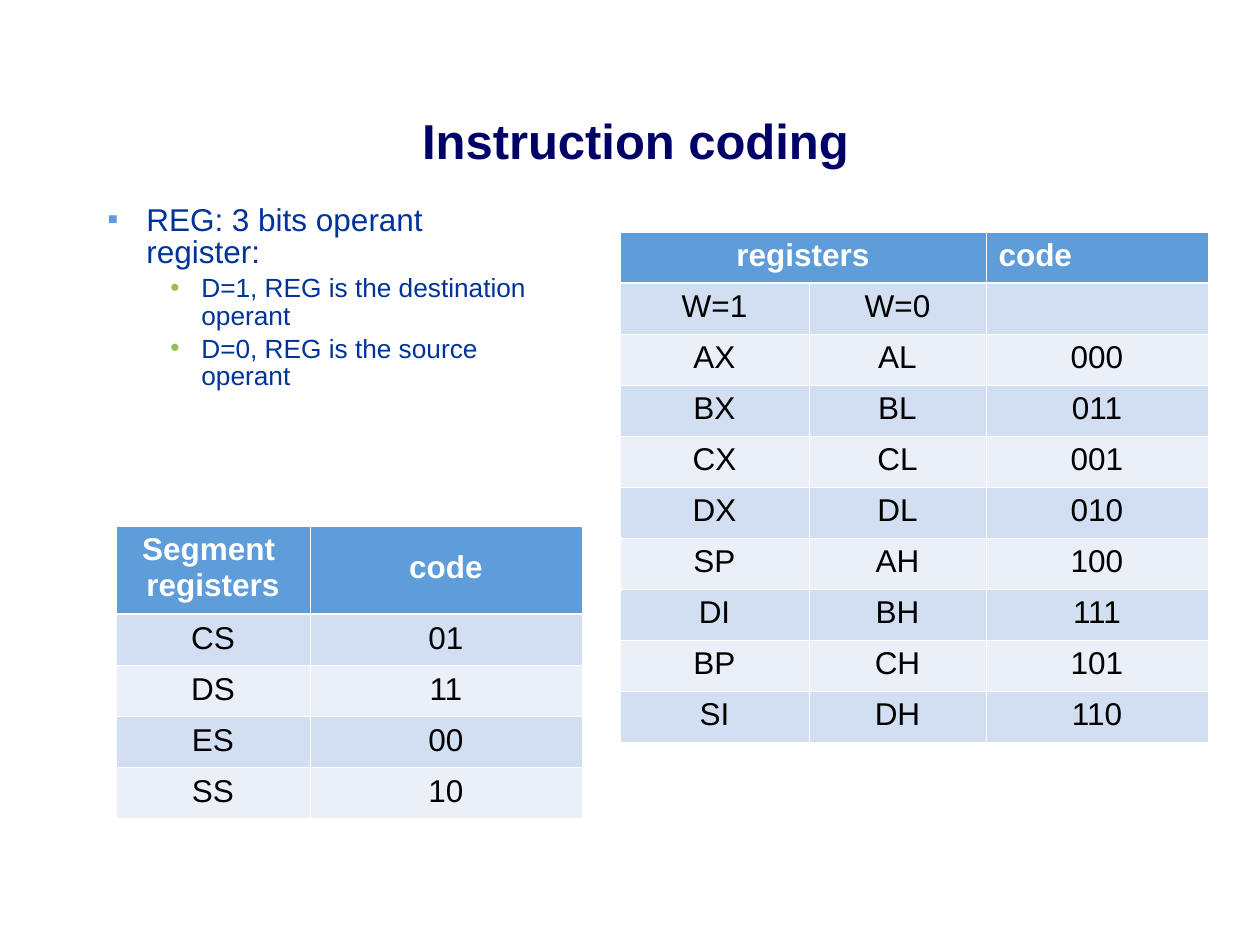
import dataclasses
import typing

import pptx
import pptx.dml.color
import pptx.enum.text
import pptx.oxml
import pptx.oxml.ns
import pptx.util

SCALE = 914400 / 126
FONT = "Arial"
WHITE, BLACK, NAVY, BLUE = "FFFFFF", "000000", "000066", "003399"
HEAD, BANDS = "5E9CDA", ("D2DEF1", "EAEFF8")
ALIGN = pptx.enum.text.PP_ALIGN


@dataclasses.dataclass
class Point:
    text: str
    size: int
    level: int
    left: int
    hang: int
    mark: str
    tint: str
    before: float = 0


@dataclasses.dataclass
class Grid:
    left: int
    top: int
    cols: list[int]
    rows: list[int]
    cells: list[list[str]]


POINTS = [
    Point("REG: 3 bits operant register:", 18, 1, 102, 39, "▪", "5E9CDA"),
    *(Point(f"D={bit}, REG is the {role} operant", 15, 2, 157, 31, "•", "93C052", 3.5)
      for bit, role in ((1, "destination"), (0, "source"))),
]
SEGMENTS = Grid(116, 526, [194, 272], [87] + [51] * 4, [
    ["Segment \nregisters", "code"],
    ["CS", "01"], ["DS", "11"], ["ES", "00"], ["SS", "10"],
])
REGISTERS = Grid(620, 232, [189, 177, 222], [51] * 10, [
    ["registers", "", "code"], ["W=1", "W=0", ""],
    ["AX", "AL", "000"], ["BX", "BL", "011"], ["CX", "CL", "001"],
    ["DX", "DL", "010"], ["SP", "AH", "100"], ["DI", "BH", "111"],
    ["BP", "CH", "101"], ["SI", "DH", "110"],
])


def px(count: int) -> int:
    return round(count * SCALE)


def color(code: str) -> pptx.dml.color.RGBColor:
    return pptx.dml.color.RGBColor.from_string(code)


def write(para: typing.Any, text: str, size: int, tint: str, bold: bool = False) -> None:
    """Add one run per line of text, with line breaks between them."""
    for index, line in enumerate(text.split("\n")):
        if index:
            para.add_line_break()
        run = para.add_run()
        run.text = line
        run.font.name = FONT
        run.font.size = pptx.util.Pt(size)
        run.font.bold = bold
        run.font.color.rgb = color(tint)


def add_title(slide: typing.Any, text: str) -> None:
    title = slide.shapes.title
    title.left, title.top, title.width, title.height = map(px, (32, 105, 1207, 71))
    frame = title.text_frame
    frame.vertical_anchor = pptx.enum.text.MSO_ANCHOR.BOTTOM
    para = frame.paragraphs[0]
    para.alignment = ALIGN.CENTER
    write(para, text, 28, NAVY, True)


def add_bullet(para: typing.Any, point: Point) -> None:
    props = para._p.get_or_add_pPr()
    props.set("marL", str(px(point.left)))
    props.set("indent", str(-px(point.hang)))
    space = pptx.oxml.ns.nsdecls("a")
    for xml in (f'<a:buClr {space}><a:srgbClr val="{point.tint}"/></a:buClr>',
                f'<a:buFont {space} typeface="{FONT}"/>',
                f'<a:buChar {space} char="{point.mark}"/>'):
        props.append(pptx.oxml.parse_xml(xml))


def add_points(slide: typing.Any, points: list[Point]) -> None:
    frame = slide.shapes.add_textbox(*map(px, (32, 199, 514, 284))).text_frame
    frame.word_wrap = True
    for index, point in enumerate(points):
        para = frame.add_paragraph() if index else frame.paragraphs[0]
        add_bullet(para, point)
        para.level = point.level
        para.line_spacing = 0.86
        para.space_before = pptx.util.Pt(point.before)
        write(para, point.text, point.size, BLUE)


def add_borders(cell: typing.Any, row: int) -> None:
    """Draw thin white sides, with a thicker line under the header row."""
    props = cell._tc.get_or_add_tcPr()
    thick = {"T": row == 1, "B": row == 0}
    for side in "LRTB":
        width = pptx.util.Pt(1.47 if thick.get(side) else 0.45)
        props.append(pptx.oxml.parse_xml(
            f'<a:ln{side} {pptx.oxml.ns.nsdecls("a")} w="{width}"><a:solidFill>'
            f'<a:srgbClr val="{WHITE}"/></a:solidFill></a:ln{side}>'))


def add_grid(slide: typing.Any, grid: Grid) -> typing.Any:
    table = slide.shapes.add_table(
        len(grid.rows), len(grid.cols), px(grid.left), px(grid.top),
        px(sum(grid.cols)), px(sum(grid.rows))).table
    for col, width in zip(table.columns, grid.cols):
        col.width = px(width)
    for row, (height, texts) in enumerate(zip(grid.rows, grid.cells)):
        table.rows[row].height = px(height)
        for col, text in enumerate(texts):
            cell = table.cell(row, col)
            add_borders(cell, row)
            cell.fill.solid()
            cell.fill.fore_color.rgb = color(BANDS[(row - 1) % 2] if row else HEAD)
            para = cell.text_frame.paragraphs[0]
            para.alignment = ALIGN.CENTER
            if text:
                write(para, text, 18, BLACK if row else WHITE, row == 0)
    return table


def main() -> None:
    deck = pptx.Presentation()
    deck.slide_width, deck.slide_height = px(1260), px(945)
    slide = deck.slides.add_slide(deck.slide_layouts[5])
    add_title(slide, "Instruction coding")
    add_points(slide, POINTS)
    segments = add_grid(slide, SEGMENTS)
    segments.cell(0, 1).text_frame.paragraphs[0].line_spacing = 1.5
    registers = add_grid(slide, REGISTERS)
    registers.cell(0, 0).merge(registers.cell(0, 1))
    registers.cell(0, 2).text_frame.paragraphs[0].alignment = ALIGN.LEFT
    deck.save("out.pptx")


if __name__ == "__main__":
    main()
